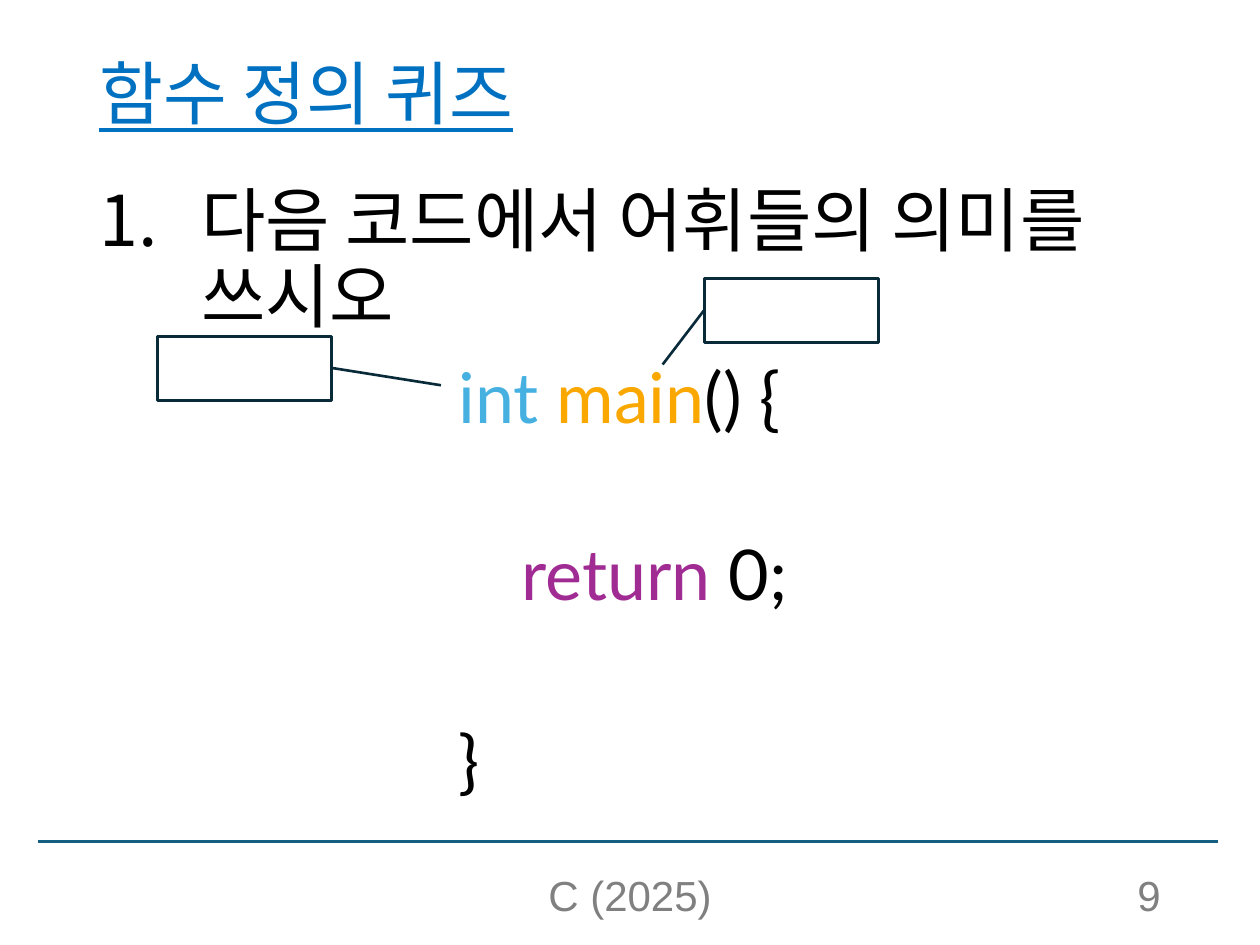
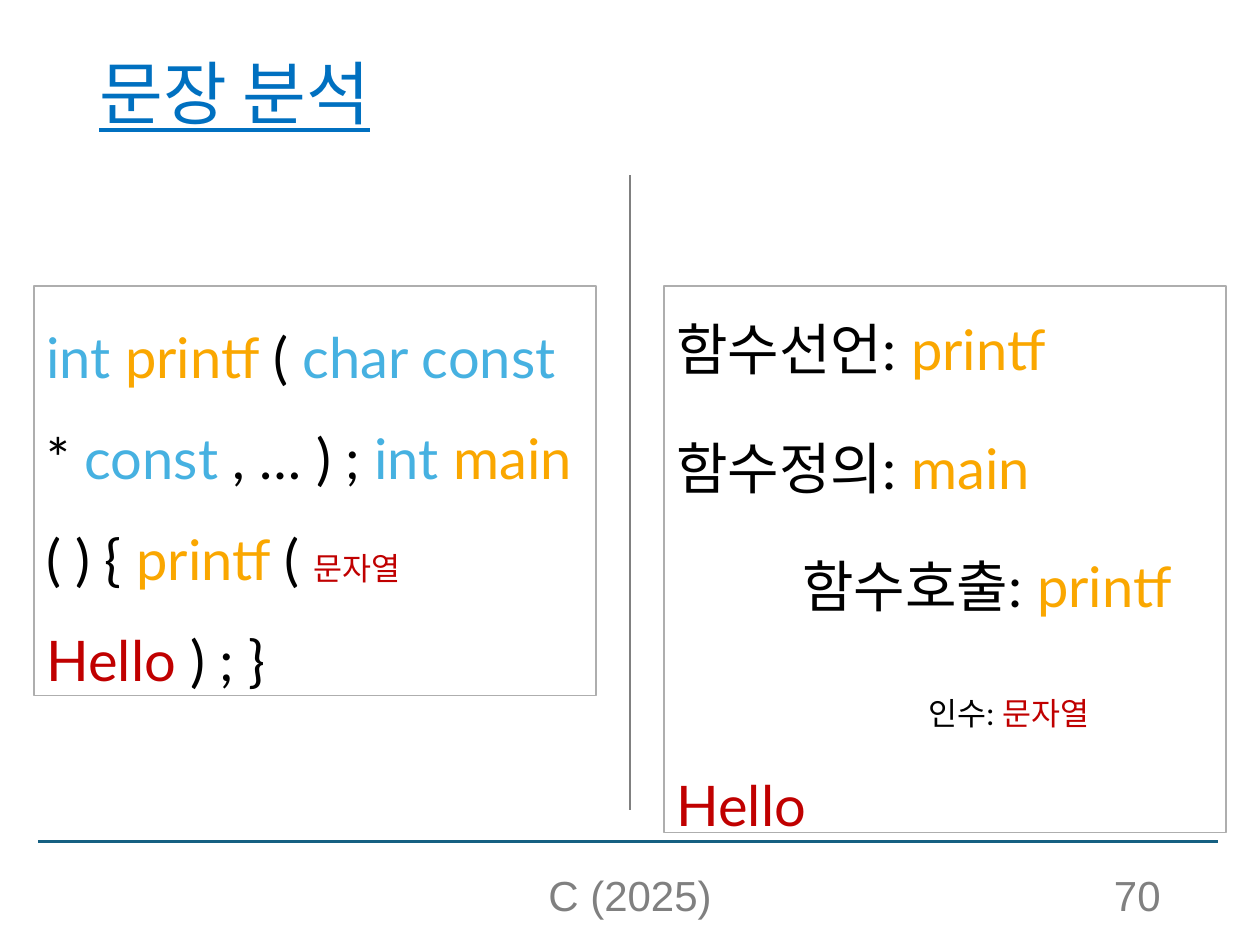
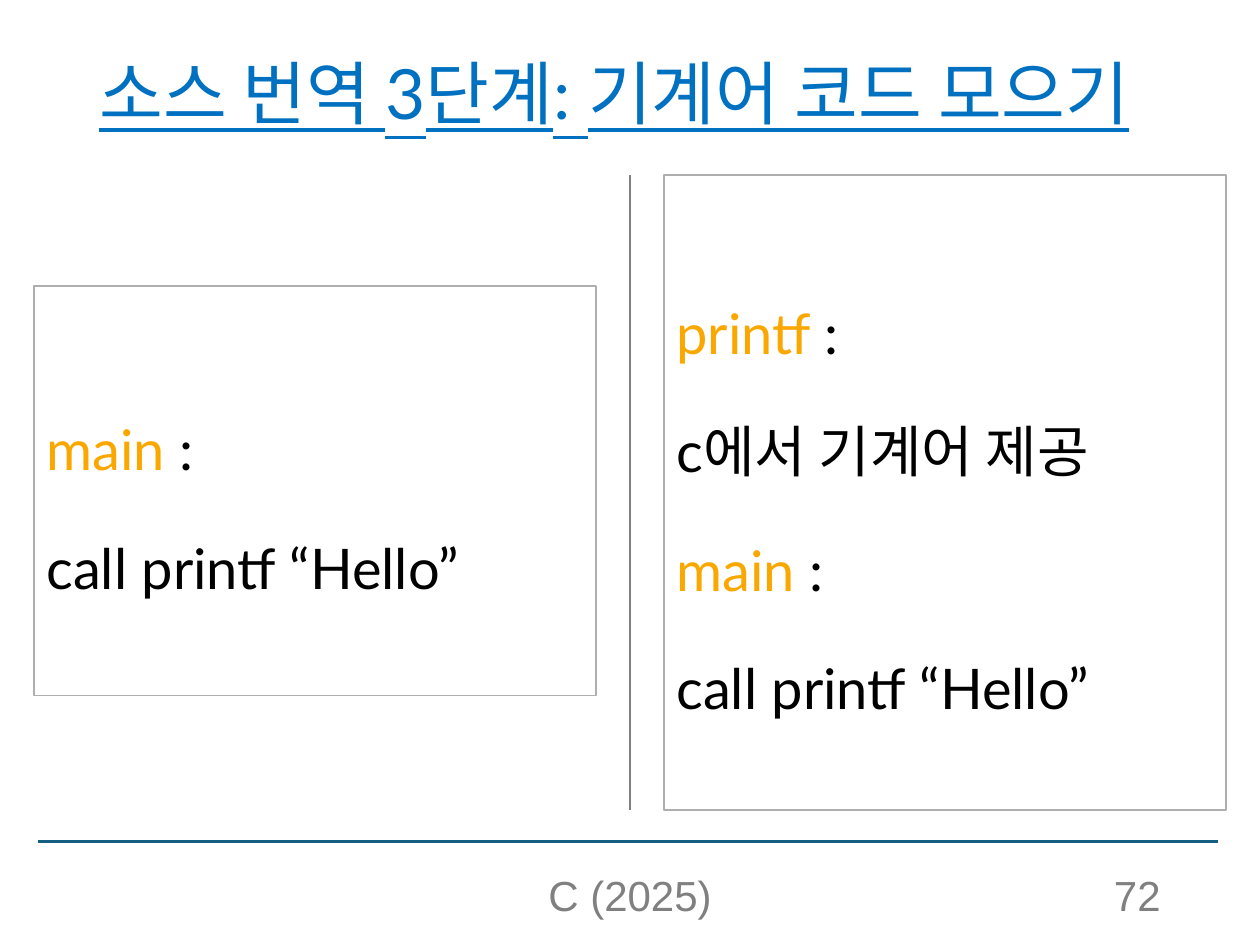
from dataclasses import dataclass

from lxml import etree
from pptx import Presentation
from pptx.dml.color import RGBColor
from pptx.enum import shapes, text
from pptx.oxml.ns import qn
from pptx.util import Inches, Pt


@dataclass(frozen=True)
class Theme:
    font: str = "Lato"
    footer_font: str = "Arial"
    black: str = "000000"
    title_blue: str = "0070C0"
    rule_blue: str = "156082"
    gray: str = "808080"
    panel_line: str = "AEAEAE"
    callout_line: str = "092A39"
    type_blue: str = "46B1E1"
    name_orange: str = "FAA700"
    keyword_purple: str = "A02B93"
    string_red: str = "C00000"
    title_size: float = 39.6
    body_size: float = 40
    panel_size: float = 32
    small_size: float = 18
    footer_size: float = 24


THEME = Theme()
FOOTER = "C (2025)"
LEFT_PANEL = (0.27, 2.27, 4.46, 3.25)


def plain(words, size=None):
    return words, THEME.black, size


def kind(words):
    return words, THEME.type_blue, None


def name(words):
    return words, THEME.name_orange, None


def literal(words, size=None):
    return words, THEME.string_red, size


def write(paragraph, spans, size, font=THEME.font, spacing=None, before=0):
    """Fill a paragraph with (text, colour, own size or None) spans."""
    paragraph.line_spacing = spacing
    paragraph.space_before = Pt(before)
    for words, color, own_size in spans:
        span = paragraph.add_run()
        span.text = words
        span.font.name = font
        span.font.size = Pt(own_size or size)
        span.font.color.rgb = RGBColor.from_string(color)


def add_box(page, place, anchor=text.MSO_ANCHOR.TOP):
    box = page.shapes.add_textbox(*map(Inches, place))
    box.text_frame.word_wrap = True
    box.text_frame.vertical_anchor = anchor
    return box.text_frame


def add_line(page, start, end, color):
    line = page.shapes.add_connector(
        shapes.MSO_CONNECTOR.STRAIGHT, *map(Inches, start + end))
    line.line.color.rgb = RGBColor.from_string(color)
    line.line.width = Pt(1.5)
    etree.SubElement(line._element.spPr, qn("a:effectLst"))


def add_outline(page, preset, place, color, width):
    """Add an unfilled shape."""
    shape = page.shapes.add_shape(preset, *map(Inches, place))
    shape.shadow.inherit = False
    shape.fill.background()
    shape.line.color.rgb = RGBColor.from_string(color)
    shape.line.width = Pt(width)
    return shape


def add_footer(page, words, place, align):
    paragraph = add_box(page, place, text.MSO_ANCHOR.BOTTOM).paragraphs[0]
    paragraph.alignment = align
    write(paragraph, [(words, THEME.gray, None)], THEME.footer_size,
          THEME.footer_font)


def add_page(deck, title, number, title_width=9.31):
    page = deck.slides.add_slide(deck.slide_layouts[6])
    add_line(page, (0.3, 6.68), (9.67, 6.68), THEME.rule_blue)
    frame = add_box(page, (0.69, 0.4, title_width, 0.74),
                    text.MSO_ANCHOR.MIDDLE)
    heading = frame.paragraphs[0]
    write(heading, [(title, THEME.title_blue, None)], THEME.title_size,
          spacing=0.9)
    heading.runs[0].font.underline = True
    add_footer(page, FOOTER, (3.31, 6.95, 3.38, 0.4), text.PP_ALIGN.CENTER)
    add_footer(page, str(number), (7.06, 6.95, 2.25, 0.4),
               text.PP_ALIGN.RIGHT)
    return page


def set_indent(paragraph, margin, first_line=0):
    properties = paragraph._p.get_or_add_pPr()
    properties.set("marL", str(Inches(margin)))
    properties.set("indent", str(Inches(first_line)))
    return properties


def add_tab_stop(paragraph, position):
    stops = etree.SubElement(paragraph._p.get_or_add_pPr(), qn("a:tabLst"))
    etree.SubElement(stops, qn("a:tab"), pos=str(Inches(position)), algn="l")


def add_question(page, words):
    paragraph = add_box(page, (0.69, 1.43, 8.82, 5.34)).paragraphs[0]
    properties = set_indent(paragraph, 0.81, -0.81)
    etree.SubElement(properties, qn("a:buFont"), typeface="+mj-lt")
    etree.SubElement(properties, qn("a:buAutoNum"), type="arabicPeriod")
    write(paragraph, [plain(words)], THEME.body_size, spacing=0.9)


def add_code(page, place, lines):
    """Lines are (spans, indent, space before)."""
    frame = add_box(page, place)
    for index, (spans, indent, before) in enumerate(lines):
        paragraph = frame.add_paragraph() if index else frame.paragraphs[0]
        set_indent(paragraph, indent)
        write(paragraph, spans, THEME.body_size, spacing=0.9, before=before)


def add_callout(page, left, top, adjustments):
    callout = add_outline(page, shapes.MSO_SHAPE.LINE_CALLOUT_1,
                          (left, top, 1.38, 0.51), THEME.callout_line, 1.5)
    for index, value in enumerate(adjustments):
        callout.adjustments[index] = value


def add_panel(page, place, lines, tab_stops=None):
    """Add a framed panel; tab_stops maps a line's index to its tab position."""
    panel = add_outline(page, shapes.MSO_SHAPE.RECTANGLE, place,
                        THEME.panel_line, 0.75)
    frame = panel.text_frame
    frame.word_wrap = True
    frame.vertical_anchor = text.MSO_ANCHOR.MIDDLE
    for index, spans in enumerate(lines):
        paragraph = frame.add_paragraph() if index else frame.paragraphs[0]
        paragraph.alignment = text.PP_ALIGN.LEFT
        if tab_stops and index in tab_stops:
            add_tab_stop(paragraph, tab_stops[index])
        write(paragraph, spans, THEME.panel_size, spacing=1.5,
              before=10 if index else 0)


def add_divider(page):
    add_line(page, (5, 1.39), (5, 6.43), THEME.gray)


def build_quiz(deck):
    page = add_page(deck, "함수 정의 퀴즈", 9, title_width=8.62)
    add_question(page, "다음 코드에서 어휘들의 의미를 쓰시오")
    add_code(page, (3.54, 2.83, 2.93, 3.76), [
        ([kind("int "), name("main"), plain("() {")], 0, 0),
        ([("return", THEME.keyword_purple, None), plain(" 0;")], 0.5, 58),
        ([plain("}")], 0, 63),
    ])
    add_callout(page, 1.25, 2.67, (0.49, 1, 0.76, 1.63))
    add_callout(page, 5.59, 2.21, (0.49, 0, 1.34, -0.24))


def build_analysis(deck):
    page = add_page(deck, "문장 분석", 70)
    add_divider(page)
    add_panel(page, (5.27, 2.27, 4.46, 4.34), [
        [plain("함수선언: "), name("printf")],
        [plain("함수정의:"), name(" main")],
        [plain("\t함수호출: "), name("printf")],
        [plain("\t"), plain("인수:", THEME.small_size),
         literal(" 문자열", THEME.small_size), literal("Hello")],
    ], tab_stops={2: 1, 3: 2})
    add_panel(page, LEFT_PANEL, [[
        kind("int "), name("printf "), plain("( "), kind("char const "),
        plain("* "), kind("const"), plain(" , … ) ; "), kind("int "),
        name("main "), plain("( ) { "), name("printf "), plain("( "),
        literal("문자열", THEME.small_size), literal("Hello "), plain(") ; }"),
    ]])


def build_linking(deck):
    page = add_page(deck, "소스 번역 3단계: 기계어 코드 모으기", 72)
    add_divider(page)
    main_code = [[name("main "), plain(":")], [plain("call printf “Hello”")]]
    printf_code = [[name("printf "), plain(":")], [plain("c에서 기계어 제공")]]
    add_panel(page, LEFT_PANEL, main_code)
    add_panel(page, (5.27, 1.39, 4.46, 5.04), printf_code + main_code)


def main():
    deck = Presentation()
    deck.slide_width, deck.slide_height = Inches(10), Inches(7.5)
    build_quiz(deck)
    build_analysis(deck)
    build_linking(deck)
    deck.save("out.pptx")


if __name__ == "__main__":
    main()
